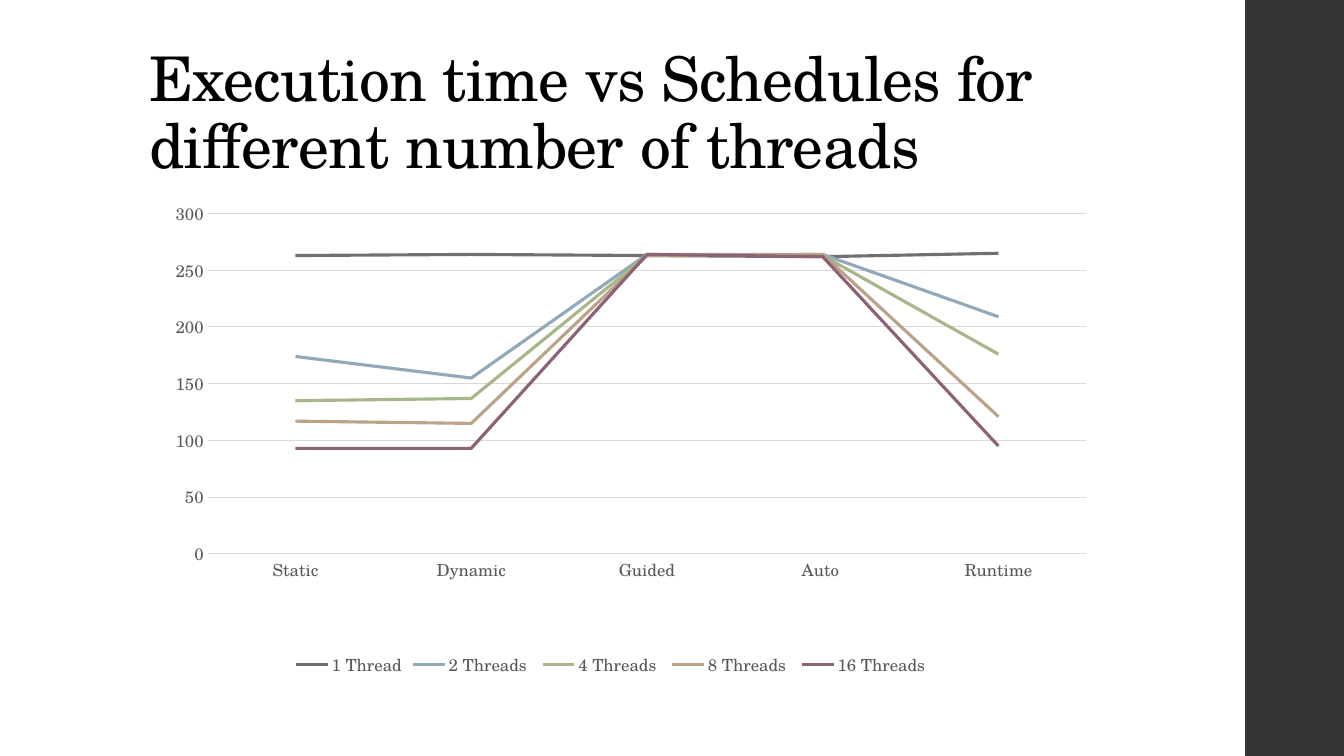
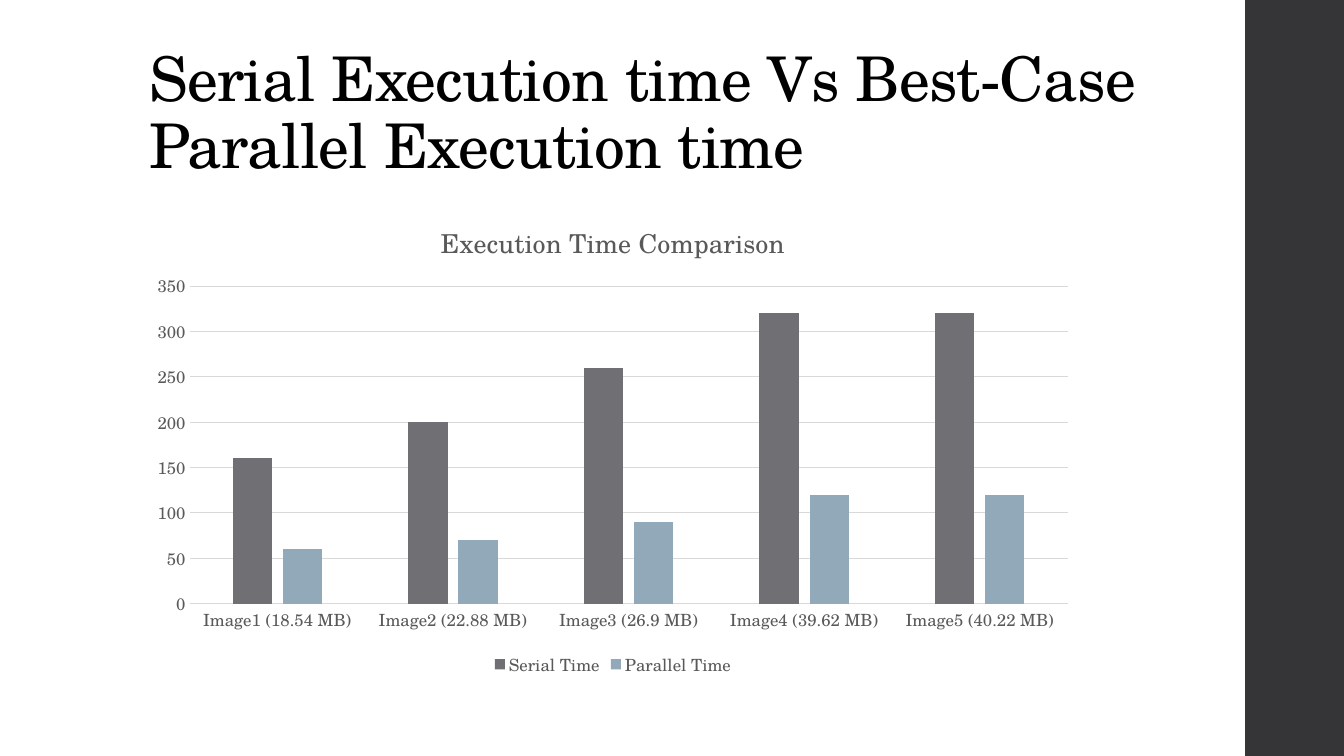
from pptx import Presentation
from pptx.chart.data import CategoryChartData
from pptx.dml.color import RGBColor
from pptx.enum.chart import XL_CHART_TYPE as ChartType, XL_LEGEND_POSITION as LegendPosition
from pptx.enum.chart import XL_TICK_MARK as TickMark
from pptx.enum.shapes import MSO_SHAPE as Shape
from pptx.enum.text import MSO_ANCHOR as Anchor
from pptx.oxml import parse_xml
from pptx.oxml.ns import nsdecls
from pptx.util import Pt

PX = 9144  # 100 px to the inch
CHART_WIDTH, CHART_HEIGHT = 940, 475
FONT = "TeX Gyre Schola"
COLORS = {
    "band": "353537",
    "title": "000000",
    "label": "595959",
    "grid": "D9D9D9",
    "series": ["6F6F74", "92A9B9", "A7B789", "B9A489", "8D6374"],
}

# Each plot area is left, top, width and height in px within its chart.
SLIDES = [
    {
        "title": "Execution time vs Schedules for different number of threads",
        "type": ChartType.LINE,
        "top_value": 300,
        "plot": (68, 10, 872, 339),
        "categories": ["Static", "Dynamic", "Guided", "Auto ", "Runtime"],
        "series": {
            "1 Thread": [263, 264, 263, 262, 265],
            "2 Threads ": [174, 155, 264, 264, 209],
            "4 Threads ": [135, 137, 263, 263, 176],
            "8 Threads ": [117, 115, 263, 264, 121],
            "16 Threads ": [93, 93, 264, 262, 95],
        },
    },
    {
        "title": "Serial Execution time Vs Best-Case Parallel Execution time",
        "type": ChartType.COLUMN_CLUSTERED,
        "top_value": 350,
        "plot": (50, 84, 871, 315),
        "chart_title": "Execution Time Comparison",
        "categories": ["Image1 (18.54 MB)", "Image2 (22.88 MB)", "Image3 (26.9 MB)",
                       "Image4 (39.62 MB)", "Image5 (40.22 MB)"],
        "series": {
            "Serial Time": [160, 200, 260, 320, 320],
            "Parallel Time": [60, 70, 90, 120, 120],
        },
    },
]


def style_font(font, size, color):
    font.name = FONT
    font.size = Pt(size)
    font.bold = False
    font.color.rgb = RGBColor.from_string(COLORS[color])


def set_plot_area(chart, left, top, width, height):
    """Fix the inner plot area, given in px within the chart."""
    area = chart.element.xpath(".//c:plotArea")[0]
    for old in area.xpath("c:layout"):
        area.remove(old)
    area.insert(0, parse_xml(
        f'<c:layout {nsdecls("c")}><c:manualLayout><c:layoutTarget val="inner"/>'
        '<c:xMode val="edge"/><c:yMode val="edge"/>'
        f'<c:x val="{left / CHART_WIDTH}"/><c:y val="{top / CHART_HEIGHT}"/>'
        f'<c:w val="{width / CHART_WIDTH}"/><c:h val="{height / CHART_HEIGHT}"/>'
        "</c:manualLayout></c:layout>"))


deck = Presentation()
deck.slide_width = 1333 * PX
deck.slide_height = 750 * PX
blank = deck.slide_layouts[6]

for content in SLIDES:
    page = deck.slides.add_slide(blank)

    band = page.shapes.add_shape(Shape.RECTANGLE, 1235 * PX, 0, 98 * PX, 750 * PX)
    band.shadow.inherit = False
    band.fill.solid()
    band.fill.fore_color.rgb = RGBColor.from_string(COLORS["band"])
    band.line.fill.background()

    box = page.shapes.add_textbox(138 * PX, 40 * PX, 1060 * PX, 145 * PX)
    box.text_frame.word_wrap = True
    box.text_frame.vertical_anchor = Anchor.BOTTOM
    para = box.text_frame.paragraphs[0]
    para.text = content["title"]
    para.line_spacing = 0.9
    style_font(para.font, 44, "title")
    box.element.xpath(".//a:defRPr")[0].set("spc", "-50")

    data = CategoryChartData()
    data.categories = content["categories"]
    for name, values in content["series"].items():
        data.add_series(name, values)
    chart = page.shapes.add_chart(content["type"], 138 * PX, 200 * PX,
                                  CHART_WIDTH * PX, CHART_HEIGHT * PX, data).chart
    style_font(chart.font, 12, "label")
    set_plot_area(chart, *content["plot"])

    chart.has_title = "chart_title" in content
    if chart.has_title:
        heading = chart.chart_title.text_frame.paragraphs[0]
        heading.text = content["chart_title"]
        style_font(heading.runs[0].font, 18.6, "label")

    chart.has_legend = True
    chart.legend.position = LegendPosition.BOTTOM
    chart.legend.include_in_layout = False
    style_font(chart.legend.font, 12, "label")

    for axis in (chart.category_axis, chart.value_axis):
        axis.major_tick_mark = axis.minor_tick_mark = TickMark.NONE
        style_font(axis.tick_labels.font, 12, "label")
    chart.value_axis.minimum_scale = 0
    chart.value_axis.maximum_scale = content["top_value"]
    chart.value_axis.major_unit = 50
    chart.value_axis.format.line.fill.background()
    chart.value_axis.has_major_gridlines = True
    for rule in (chart.category_axis.format.line,
                 chart.value_axis.major_gridlines.format.line):
        rule.color.rgb = RGBColor.from_string(COLORS["grid"])
        rule.width = Pt(0.75)

    plot = chart.plots[0]
    plot.vary_by_categories = False
    is_line = content["type"] == ChartType.LINE
    if not is_line:
        plot.gap_width = 219
        plot.overlap = -27
    for series, color in zip(plot.series, COLORS["series"]):
        if is_line:
            series.smooth = False
            series.format.line.color.rgb = RGBColor.from_string(color)
            series.format.line.width = Pt(2.25)
        else:
            series.format.fill.solid()
            series.format.fill.fore_color.rgb = RGBColor.from_string(color)

deck.save("out.pptx")
